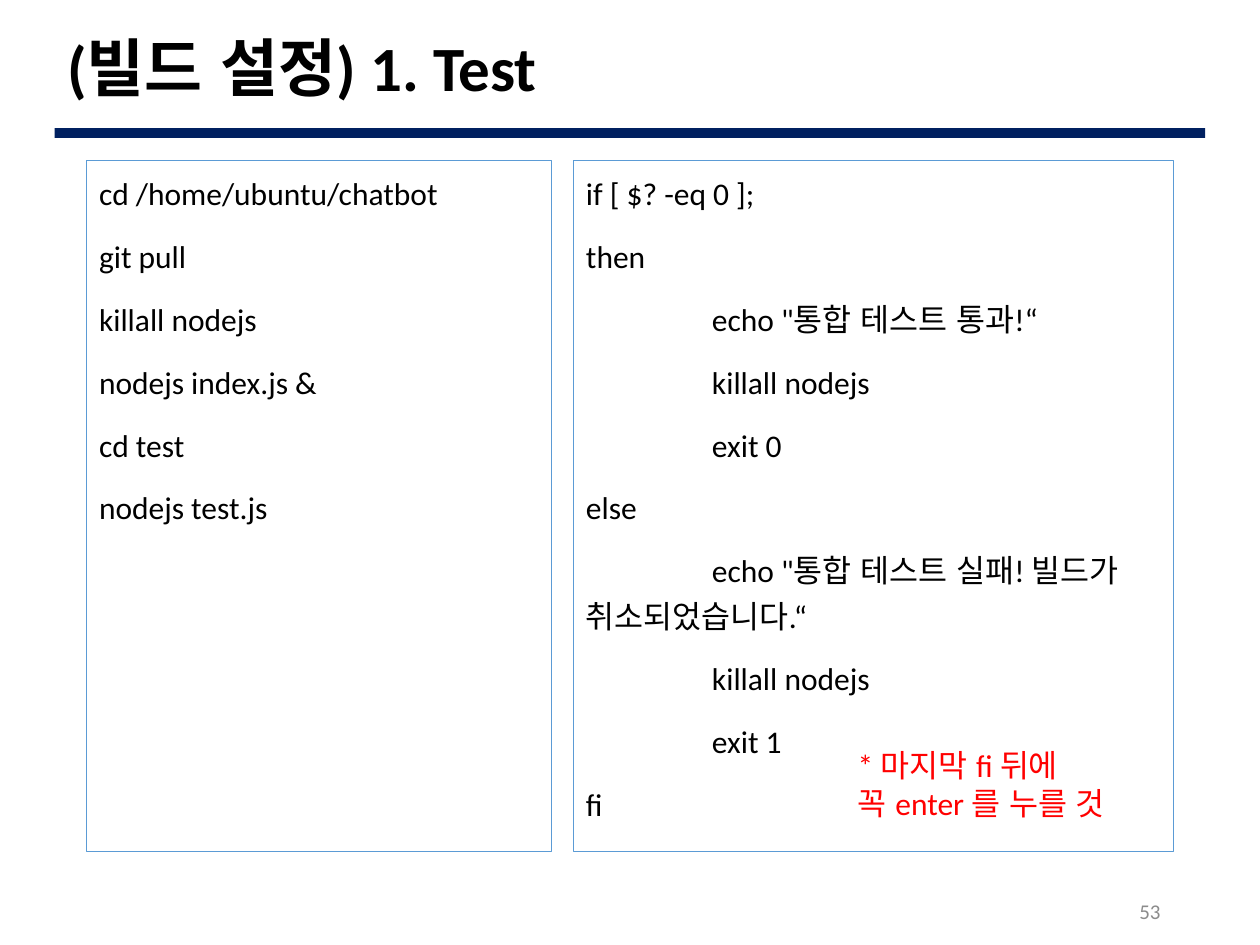
from pptx import Presentation
from pptx.dml.color import RGBColor
from pptx.enum import lang, shapes, text
from pptx.util import Pt

NAVY = RGBColor(0x00, 0x20, 0x60)
BLUE = RGBColor(0x5B, 0x9B, 0xD5)
BLACK = RGBColor(0x00, 0x00, 0x00)
GREY = RGBColor(0x8C, 0x8C, 0x8C)
RED = RGBColor(0xFF, 0x00, 0x00)
FONT = "Calibri"

TITLE = "(빌드 설정) 1. Test"
BUILD_STEPS = [
    "cd /home/ubuntu/chatbot",
    "git pull",
    "killall nodejs",
    "nodejs index.js &",
    "cd test",
    "nodejs test.js",
]
RESULT_CHECK = [
    "if [ $? -eq 0 ];",
    "then",
    "\techo \"통합 테스트 통과!“",
    "\tkillall nodejs",
    "\texit 0",
    "else",
    "\techo \"통합 테스트 실패! 빌드가 취소되었습니다.“",
    "\tkillall nodejs",
    "\texit 1",
    "fi",
]
NOTE = ["* 마지막 fi 뒤에", "꼭 enter 를 누를 것"]
PAGE = "53"

MARGIN, FULL_WIDTH = 31.2, 657.5
PANEL_TOP, PANEL_HEIGHT = 91.7, 394.8
PANELS = [(49.5, 265.7, BUILD_STEPS), (327.8, 342.7, RESULT_CHECK)]
TAB_WIDTH = 72


def write(s, lines, size, color, bold=False, align=text.PP_ALIGN.LEFT,
          anchor=text.MSO_ANCHOR.TOP, spacing=1.0, before=0):
    tf = s.text_frame
    tf.word_wrap = True
    tf.auto_size = text.MSO_AUTO_SIZE.NONE
    tf.vertical_anchor = anchor
    tf.text = "\n".join(lines)
    for i, p in enumerate(tf.paragraphs):
        p.alignment = align
        p.line_spacing = spacing
        p.space_before = Pt(before if i else 0)
        p._p.get_or_add_pPr().set("defTabSz", str(Pt(TAB_WIDTH)))
        for r in p.runs:
            r.font.name = FONT
            r.font.size = Pt(size)
            r.font.bold = bold
            r.font.color.rgb = color
            r.font.language_id = lang.MSO_LANGUAGE_ID.KOREAN


def add_rectangle(slide, left, top, width, height):
    s = slide.shapes.add_shape(shapes.MSO_SHAPE.RECTANGLE,
                               Pt(left), Pt(top), Pt(width), Pt(height))
    s.shadow.inherit = False
    return s


def main():
    prs = Presentation()
    prs.slide_width, prs.slide_height = Pt(720), Pt(540)
    slide = prs.slides.add_slide(prs.slide_layouts[5])

    bar = add_rectangle(slide, MARGIN, 73.3, FULL_WIDTH, 5.5)
    bar.fill.solid()
    bar.fill.fore_color.rgb = NAVY
    bar.line.fill.background()

    title = slide.shapes.title
    title.left, title.top = Pt(MARGIN), Pt(13)
    title.width, title.height = Pt(FULL_WIDTH), Pt(55.5)
    write(title, [TITLE], 36, BLACK, bold=True,
          anchor=text.MSO_ANCHOR.MIDDLE, spacing=0.9)

    for left, width, lines in PANELS:
        panel = add_rectangle(slide, left, PANEL_TOP, width, PANEL_HEIGHT)
        panel.fill.background()
        panel.line.color.rgb = BLUE
        panel.line.width = Pt(0.75)
        write(panel, lines, 18, BLACK, spacing=1.2, before=10)

    page = slide.shapes.add_textbox(Pt(508.3), Pt(508), Pt(162), Pt(25.2))
    write(page, [PAGE], 12, GREY, align=text.PP_ALIGN.RIGHT,
          anchor=text.MSO_ANCHOR.MIDDLE)

    note = slide.shapes.add_textbox(Pt(483), Pt(422.6), Pt(170), Pt(51))
    write(note, NOTE, 18, RED)

    prs.save("out.pptx")


if __name__ == "__main__":
    main()
